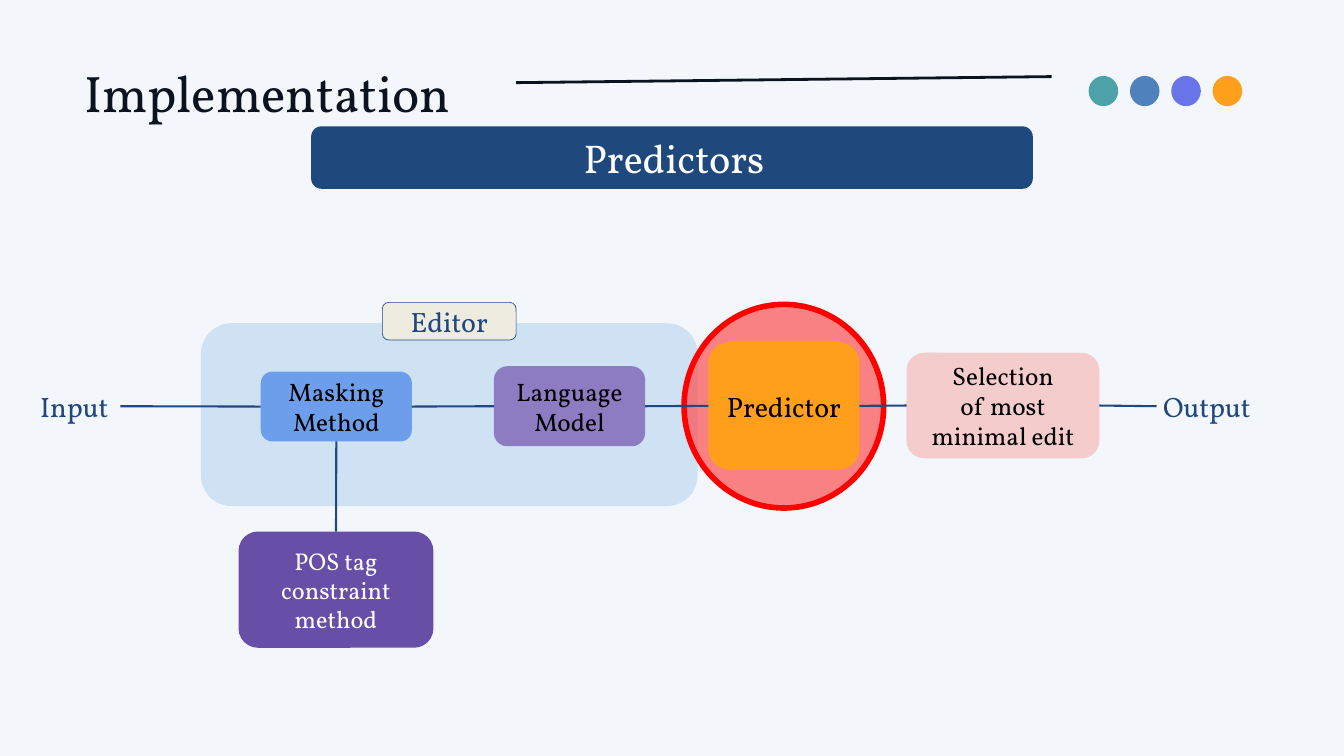
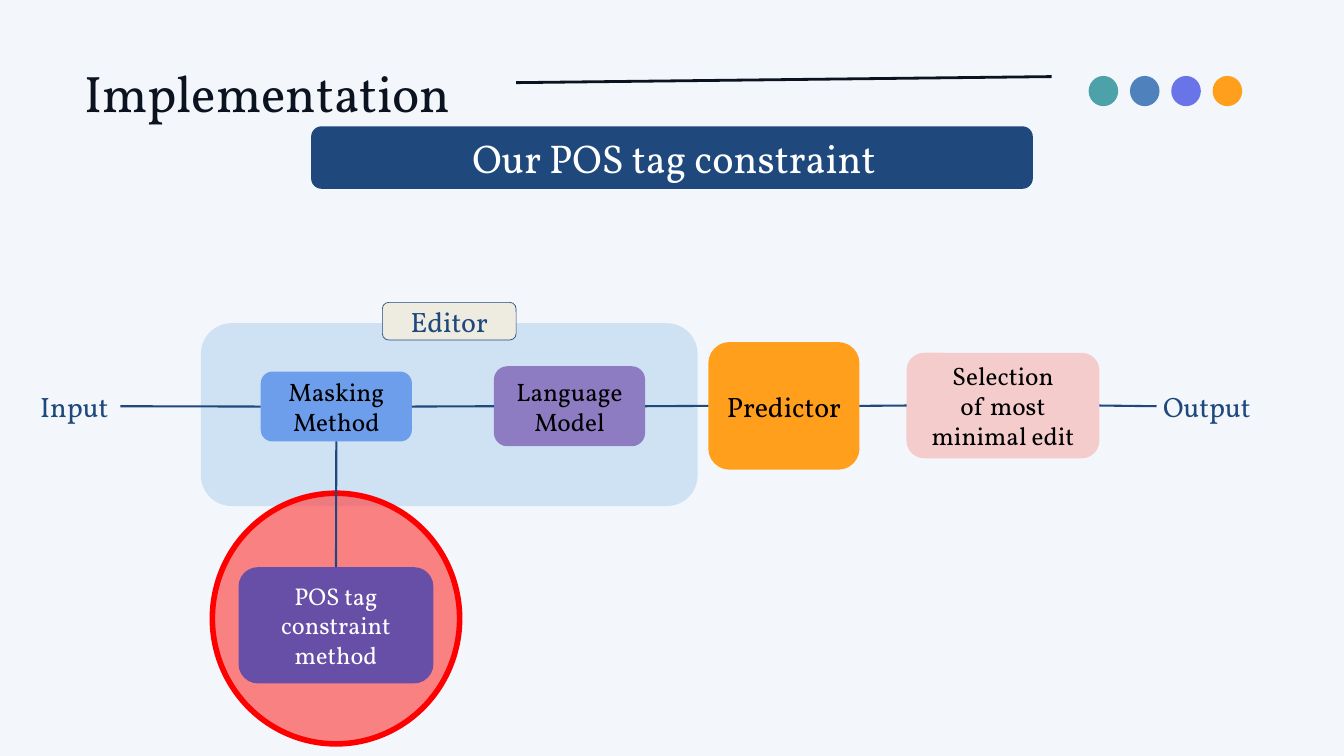
from lxml.etree import SubElement
from pptx import Presentation
from pptx.dml.color import RGBColor
from pptx.enum.shapes import MSO_CONNECTOR, MSO_SHAPE
from pptx.enum.text import MSO_ANCHOR, MSO_AUTO_SIZE, PP_ALIGN
from pptx.oxml.ns import qn
from pptx.util import Inches, Pt

# Grid: 20 columns by 11.25 rows of one inch
COLUMNS, ROWS = 20, 11.25
FONT = "Vollkorn"
PAGE, INK, NAVY = "F3F6FA", "0B1320", "1F497D"
BLACK, WHITE = "000000", "FFFFFF"
DOTS = ["4DA1A9", "4F81BD", "6874E8", "FF9F1C"]
TOP, LEFT, BOTTOM, RIGHT = range(4)  # connection sites of a box

# Pipeline boxes: name -> (words, area, fill, size)
STEPS = {
    "predictor": ("Predictor", (10.54, 5.09, 2.25, 1.9), "FF9F1C", 30),
    "masking": ("Masking Method", (3.88, 5.53, 2.25, 1.04), "6D9EEB", 27),
    "language": ("Language Model", (7.35, 5.45, 2.25, 1.19), "8E7CC3", 27),
    "selection": ("Selection\vof most minimal edit", (13.49, 5.25, 2.87, 1.57), "F4CCCC", 27),
}
FLOW = ["input", "masking", "language", "predictor", "selection", "output"]

# Slides: banner words, area of the highlight ring, top row of the constraint box
SLIDES = [
    ("Predictors", (10.18, 4.53, 2.97, 3.03), 7.91),
    ("Our POS tag constraint", (3.16, 7.34, 3.68, 3.73), 8.44),
]


def color(code):
    return RGBColor.from_string(code)


class Builder:
    """Holds the deck, its style and the current page."""

    def __init__(self):
        self.deck = Presentation()
        self.deck.slide_width, self.deck.slide_height = Inches(COLUMNS), Inches(ROWS)
        fill = self.deck.slide_master.background.fill
        fill.solid()
        fill.fore_color.rgb = color(PAGE)
        self.page = None

    def new_page(self):
        self.page = self.deck.slides.add_slide(self.deck.slide_layouts[5])

    def set_text(self, shape, words, size, ink, align=PP_ALIGN.CENTER,
                 anchor=MSO_ANCHOR.MIDDLE, inset=0.1, spacing=1.0):
        frame = shape.text_frame
        margins = {f"margin_{side}": Inches(inset) for side in ("left", "top", "right", "bottom")}
        layout = {"word_wrap": True, "auto_size": MSO_AUTO_SIZE.NONE, "vertical_anchor": anchor}
        for name, value in {**margins, **layout}.items():
            setattr(frame, name, value)
        para = frame.paragraphs[0]
        para.text = words
        para.alignment, para.line_spacing = align, spacing
        for span in para.runs:
            for name, value in {"name": FONT, "size": Pt(size)}.items():
                setattr(span.font, name, value)
            span.font.color.rgb = color(ink)

    def title(self, words, area):
        box = self.page.shapes.title
        for name, value in zip(("left", "top", "width", "height"), area):
            setattr(box, name, Inches(value))
        self.set_text(box, words, 55, INK, PP_ALIGN.LEFT, MSO_ANCHOR.TOP, 0, 1.2)

    def text(self, words, area, size, ink, align=PP_ALIGN.LEFT):
        box = self.page.shapes.add_textbox(*map(Inches, area))
        self.set_text(box, words, size, ink, align, MSO_ANCHOR.TOP)
        return box

    def shape(self, kind, area, fill, line=None, width=0, opacity=None):
        shape = self.page.shapes.add_shape(kind, *map(Inches, area))
        shape.shadow.inherit = False
        shape.fill.solid()
        shape.fill.fore_color.rgb = color(fill)
        if opacity is not None:
            tint = shape._element.spPr.find(f"{qn('a:solidFill')}/{qn('a:srgbClr')}")
            SubElement(tint, qn("a:alpha")).set("val", str(opacity * 1000))
        if line:
            shape.line.color.rgb = color(line)
            shape.line.width = Pt(width)
        else:
            shape.line.fill.background()
        return shape

    def box(self, area, fill, words=None, size=27, ink=BLACK, **outline):
        box = self.shape(MSO_SHAPE.ROUNDED_RECTANGLE, area, fill, **outline)
        if words:
            self.set_text(box, words, size, ink)
        return box

    def line(self, start=(0, 0), end=(0, 0), ink=NAVY, width=2.25):
        line = self.page.shapes.add_connector(MSO_CONNECTOR.STRAIGHT, *map(Inches, (*start, *end)))
        line.line.color.rgb = color(ink)
        line.line.width = Pt(width)
        SubElement(line._element.spPr, qn("a:effectLst"))
        return line

    def link(self, source, source_site, target, target_site):
        line = self.line()
        line.begin_connect(source, source_site)
        line.end_connect(target, target_site)

    def header(self, words):
        self.title("Implementation", (1.25, 0.72, 6.3, 0.93))
        self.line((7.68, 1.23), (15.65, 1.14), INK, 3)
        for index, fill in enumerate(DOTS):
            self.shape(MSO_SHAPE.OVAL, (16.2 + index * 0.615, 1.13, 0.44, 0.45), fill)
        self.box((4.63, 1.88, 10.74, 0.93), NAVY)
        self.text(words, (4.81, 1.88, 10.44, 0.93), 43, WHITE, PP_ALIGN.CENTER)

    def pipeline(self, ring, constraint_top):
        # Editor panel, with the highlight ring above it
        self.box((2.99, 4.81, 7.39, 2.72), "CFE2F3")
        self.shape(MSO_SHAPE.OVAL, ring, "FF4545", "FF0000", 6, opacity=66)
        self.box((5.69, 4.5, 1.99, 0.56), "EEECE1", "Editor", 30, NAVY, line=NAVY, width=0.75)

        # Steps and the two ends
        parts = {name: self.box(area, fill, words, size)
                 for name, (words, area, fill, size) in STEPS.items()}
        parts["input"] = self.text("Input", (0.5, 5.69, 1.29, 0.71), 30, NAVY)
        parts["output"] = self.text("Output", (17.21, 5.69, 1.75, 0.71), 30, NAVY)
        constraint = self.box((3.55, constraint_top, 2.9, 1.73), "674EA7",
                              "POS tag constraint method", 26, WHITE)

        # Links
        for source, target in zip(FLOW, FLOW[1:]):
            self.link(parts[source], RIGHT, parts[target], LEFT)
        self.link(constraint, TOP, parts["masking"], BOTTOM)


def main():
    builder = Builder()
    for words, ring, constraint_top in SLIDES:
        builder.new_page()
        builder.header(words)
        builder.pipeline(ring, constraint_top)
    builder.deck.save("out.pptx")


if __name__ == "__main__":
    main()
